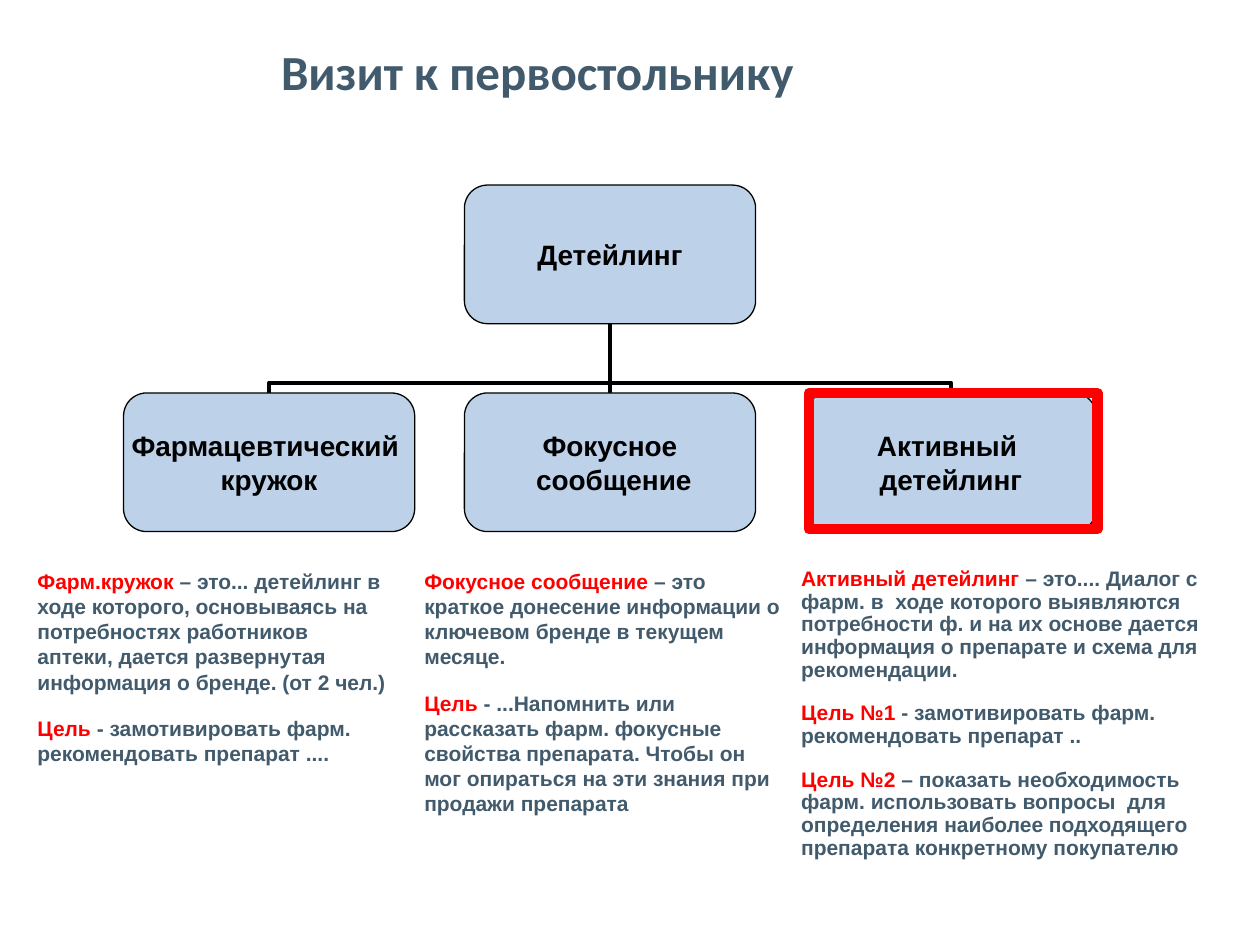
from dataclasses import dataclass

from lxml import etree
from pptx import Presentation
from pptx.dml.color import RGBColor
from pptx.enum import shapes, text
from pptx.oxml import ns
from pptx.util import Pt

HUES = {"box": "BDD1E9", "ink": "000000", "key": "FF0000", "body": "415A6C"}
BOX_W, BOX_H = 166.4, 79.2
ROOT_X, ROOT_Y = 265.4, 105.8
STEP, CHILD_Y = 194.8, 224.6
DROP = CHILD_Y - ROOT_Y - BOX_H
TEXT_Y = 321.2


@dataclass
class Box:
    x: float
    y: float
    lines: list[str]


@dataclass
class Note:
    x: float
    w: float
    h: float
    gap: float
    items: list[tuple[str, str]]


ROOT = Box(ROOT_X, ROOT_Y, ["Детейлинг"])
KIDS = [
    Box(ROOT_X + (i - 1) * STEP, CHILD_Y, lines)
    for i, lines in enumerate([
        ["Фармацевтический ", "кружок"],
        ["Фокусное", " сообщение"],
        ["Активный ", "детейлинг"],
    ])
]
NOTES = [
    Note(14.2, 215.5, 187.2, 1, [
        ("Фарм.кружок ", "– это... детейлинг в ходе которого, основываясь на потребностях "
         "работников аптеки, дается развернутая информация о бренде. (от 2 чел.)"),
        ("Цель", " - замотивировать фарм.  рекомендовать препарат ...."),
    ]),
    Note(235.4, 221, 141.8, 1, [
        ("Фокусное сообщение", " – это краткое донесение информации о ключевом бренде "
         "в текущем месяце."),
        ("Цель", " - ...Напомнить или рассказать фарм. фокусные свойства препарата. "
         "Чтобы он мог опираться на эти знания при продажи препарата"),
    ]),
    Note(450.7, 257.8, 193, 0.9, [
        ("Активный детейлинг", " – это.... Диалог с фарм. в  ходе которого выявляются "
         "потребности ф. и на их основе дается информация о препарате и схема для рекомендации."),
        ("Цель №1", " - замотивировать фарм.  рекомендовать препарат .."),
        ("Цель №2", " – показать необходимость фарм. использовать вопросы  для определения "
         "наиболее подходящего препарата конкретному покупателю"),
    ]),
]


def tint(name: str) -> RGBColor:
    return RGBColor.from_string(HUES[name])


def put(item, **vals) -> None:
    for name, val in vals.items():
        setattr(item, name, val)


def place(item, x: float, y: float, w: float, h: float) -> None:
    put(item, left=Pt(x), top=Pt(y), width=Pt(w), height=Pt(h))


def write(par, words: str, size: float, hue: str, face: str = "Arial") -> None:
    run = par.add_run()
    run.text = words
    put(run.font, size=Pt(size), bold=True, name=face)
    run.font.color.rgb = tint(hue)


def draw_box(slide, box: Box):
    shape = slide.shapes.add_shape(shapes.MSO_SHAPE.ROUNDED_RECTANGLE, Pt(box.x),
                                   Pt(box.y), Pt(BOX_W), Pt(BOX_H))
    shape.shadow.inherit = False
    shape.fill.solid()
    shape.fill.fore_color.rgb = tint("box")
    shape.line.color.rgb = tint("ink")
    shape.line.width = Pt(0.75)
    frame = shape.text_frame
    put(frame, margin_left=0, margin_right=0, margin_top=0, margin_bottom=0,
        word_wrap=False, vertical_anchor=text.MSO_ANCHOR.MIDDLE)
    for i, line in enumerate(box.lines):
        par = frame.add_paragraph() if i else frame.paragraphs[0]
        par.alignment = text.PP_ALIGN.CENTER
        write(par, line, 16, "ink")
    return shape


def add_link(slide, kind):
    link = slide.shapes.add_connector(kind, 0, 0, Pt(1), Pt(1))
    link.line.color.rgb = tint("ink")
    link.line.width = Pt(2.25)
    etree.SubElement(link._element.spPr, ns.qn("a:effectLst"))
    return link


def draw_elbow(slide, kid: Box) -> None:
    """Rises from the child's top, then turns toward the root."""
    span = kid.x - ROOT.x
    mid_x = (kid.x + ROOT.x + BOX_W) / 2
    mid_y = CHILD_Y - DROP / 2
    link = add_link(slide, shapes.MSO_CONNECTOR.ELBOW)
    # The frame is turned a quarter, so its width is the drop
    place(link, mid_x - DROP / 2, mid_y - abs(span) / 2, DROP, abs(span))
    props = link._element.spPr
    frame = props.find(ns.qn("a:xfrm"))
    frame.set("rot", "16200000" if span > 0 else "5400000")
    frame.set("flipH", "0" if span > 0 else "1")
    frame.set("flipV", "1")
    geom = props.find(ns.qn("a:prstGeom"))
    guides = geom.find(ns.qn("a:avLst"))
    if guides is None:
        guides = etree.SubElement(geom, ns.qn("a:avLst"))
    etree.SubElement(guides, ns.qn("a:gd"), name="adj1", fmla="val 15000")


def fill_note(shape, note: Note) -> None:
    place(shape, note.x, TEXT_Y, note.w, note.h)
    frame = shape.text_frame
    put(frame, word_wrap=True, auto_size=text.MSO_AUTO_SIZE.NONE,
        vertical_anchor=text.MSO_ANCHOR.TOP)
    for i, (key, words) in enumerate(note.items):
        par = frame.add_paragraph() if i else frame.paragraphs[0]
        put(par, alignment=text.PP_ALIGN.LEFT, space_before=Pt(12), line_spacing=note.gap)
        write(par, key, 12, "key")
        write(par, words, 12, "body")


def main() -> None:
    deck = Presentation()
    put(deck, slide_width=Pt(720), slide_height=Pt(540))
    slide = deck.slides.add_slide(deck.slide_layouts[0])

    # Title
    title = slide.shapes.title
    place(title, 153.4, 20.2, 378, 41)
    put(title.text_frame, word_wrap=False, auto_size=text.MSO_AUTO_SIZE.NONE,
        vertical_anchor=text.MSO_ANCHOR.TOP)
    head = title.text_frame.paragraphs[0]
    head.alignment = text.PP_ALIGN.LEFT
    write(head, "Визит к первостольнику", 28, "body", "Calibri")

    # Links lie behind the boxes
    draw_elbow(slide, KIDS[2])
    stem = add_link(slide, shapes.MSO_CONNECTOR.STRAIGHT)
    draw_elbow(slide, KIDS[0])

    # Boxes
    top = draw_box(slide, ROOT)
    kids = [draw_box(slide, kid) for kid in KIDS]
    stem.begin_connect(top, 2)
    stem.end_connect(kids[1], 0)

    # Notes under the boxes
    fill_note(slide.placeholders[1], NOTES[0])
    for note in NOTES[1:]:
        fill_note(slide.shapes.add_textbox(0, 0, 0, 0), note)

    # Red frame on the active box
    mark = slide.shapes.add_shape(shapes.MSO_SHAPE.RECTANGLE, Pt(462.2), Pt(CHILD_Y),
                                  Pt(164.9), Pt(77.8))
    mark.shadow.inherit = False
    mark.fill.background()
    mark.line.color.rgb = tint("key")
    mark.line.width = Pt(6)

    deck.save("out.pptx")


if __name__ == "__main__":
    main()
